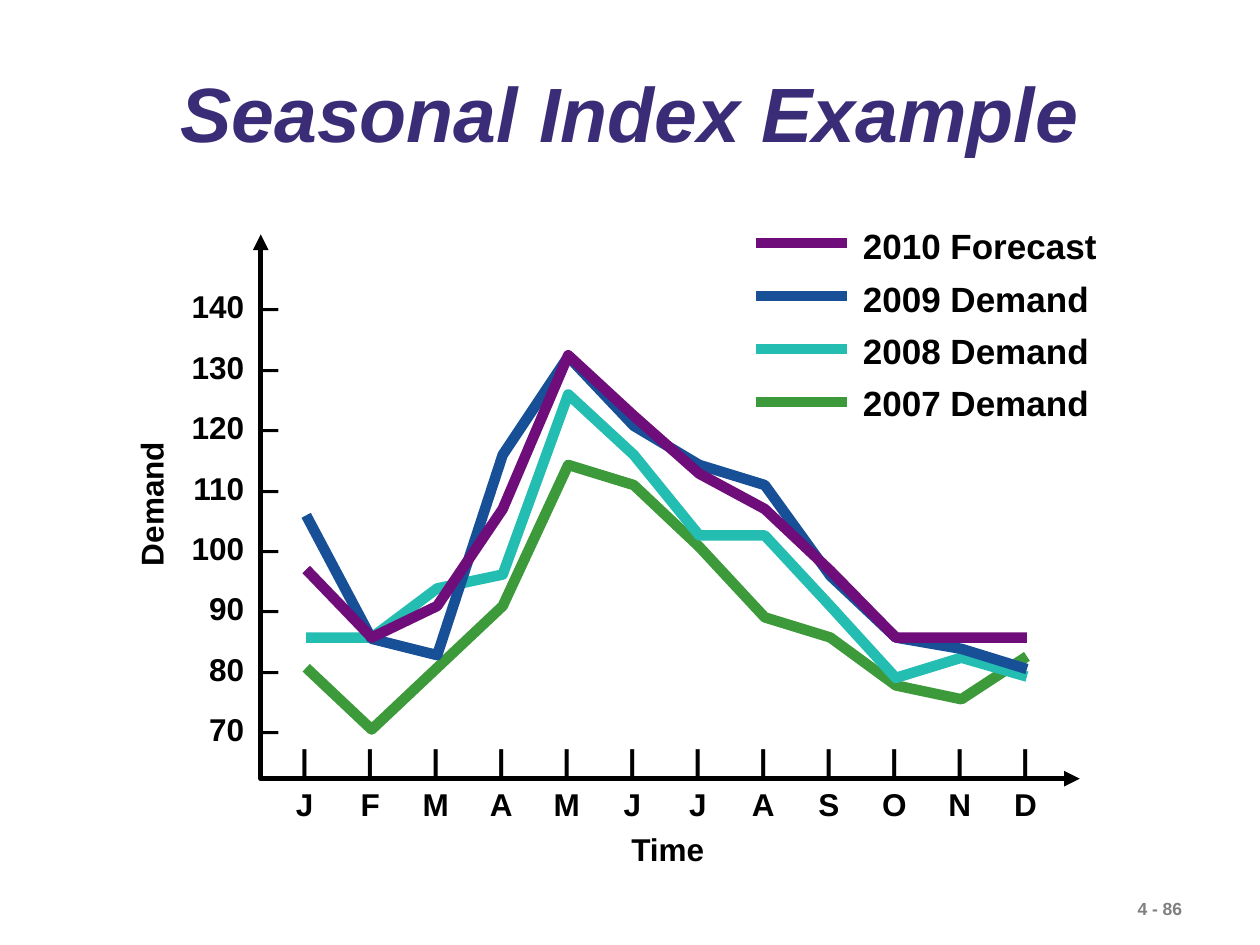
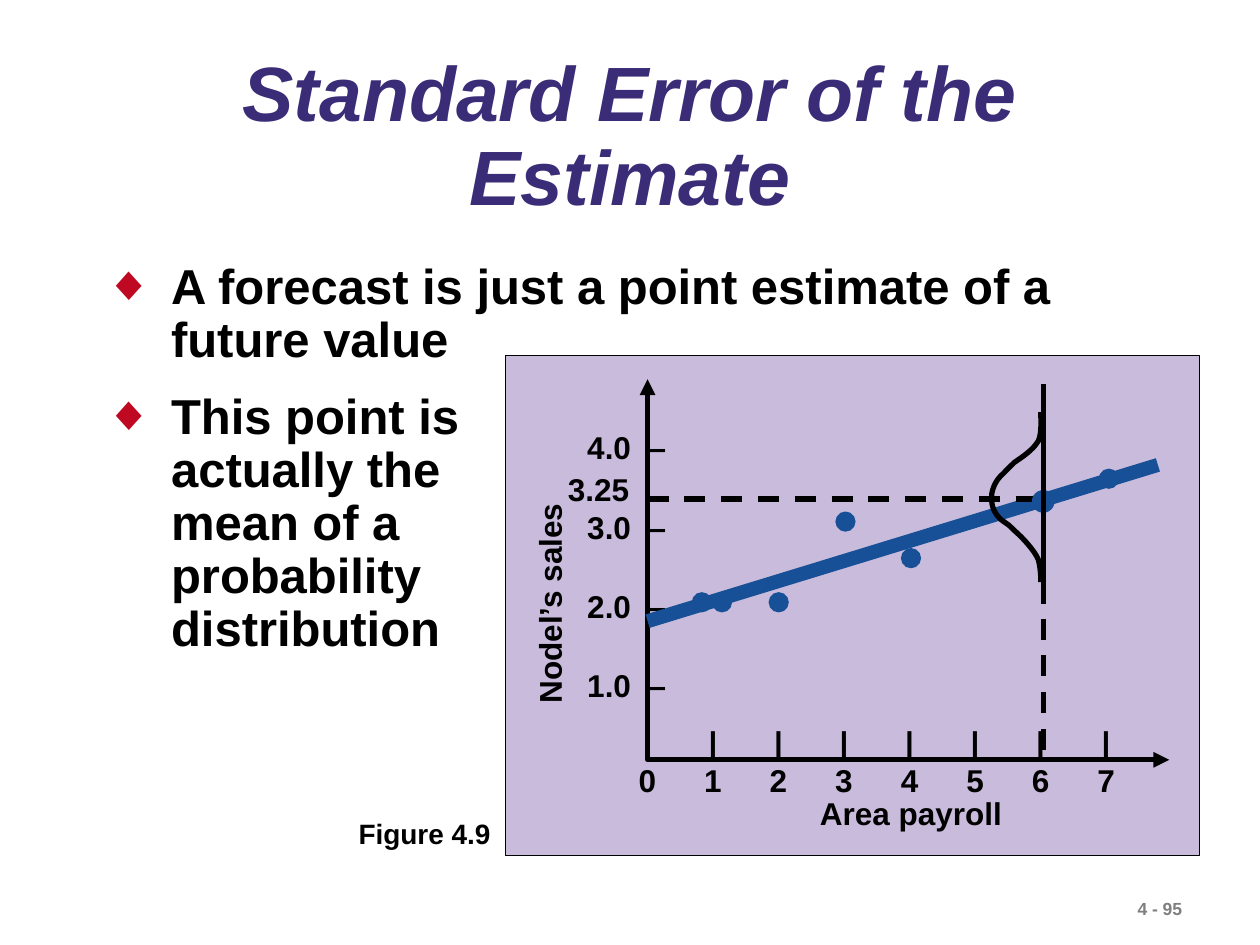
from lxml import etree
from pptx import Presentation
from pptx import util as u
from pptx.dml.color import RGBColor
from pptx.enum import dml, shapes, text
from pptx.oxml import ns

FONT = "Arial"
BLACK, GREY, TITLE = "000000", "7F7F7F", "3A2C76"
RED, LILAC = "BF0922", "C9BBDB"
GREEN, TEAL, BLUE, PURPLE = "3D9A3A", "24BDB2", "175097", "6F0D7B"
MONTH_STEP = TICK_STEP = 0.52
LEFT, CENTER = text.PP_ALIGN.LEFT, text.PP_ALIGN.CENTER

# Legend label, colour and the height of the line at each month, back to front
DEMAND = [
    ("2007 Demand", GREEN,
     [5.3, 5.79, 5.3, 4.81, 3.69, 3.85, 4.34, 4.9, 5.06, 5.44, 5.55, 5.21]),
    ("2008 Demand", TEAL,
     [5.06, 5.06, 4.67, 4.56, 3.13, 3.61, 4.25, 4.25, 4.81, 5.38, 5.22, 5.37]),
    ("2009 Demand", BLUE,
     [4.09, 5.07, 5.2, 3.61, 2.83, 3.38, 3.69, 3.85, 4.57, 5.06, 5.15, 5.31]),
    ("2010 Forecast", PURPLE,
     [4.52, 5.06, 4.81, 4.04, 2.82, 3.3, 3.76, 4.04, 4.53, 5.06, 5.06, 5.06]),
]
SALES_POINTS = [(8.8, 3.8), (7.23, 4.43), (6.71, 4.14),
                (6.18, 4.78), (5.73, 4.78), (5.57, 4.78)]
# Bezier control points: each curve starts where the one before ends
BELL = [(8.26, 4.62),
        (8.26, 4.59), (8.26, 4.51), (8.24, 4.44),
        (8.21, 4.37), (8.12, 4.27), (8.05, 4.21),
        (7.99, 4.15), (8.02, 4.18), (7.94, 4.12),
        (7.87, 4.05), (7.87, 3.99), (7.87, 3.94),
        (7.87, 3.89), (7.9, 3.82), (7.94, 3.78),
        (7.99, 3.73), (8, 3.72), (8.05, 3.67),
        (8.11, 3.63), (8.2, 3.57), (8.24, 3.5),
        (8.27, 3.44), (8.26, 3.32), (8.26, 3.27)]


def color(value):
    return RGBColor.from_string(value)


def inches(*values):
    return [u.Inches(value) for value in values]


def add_tabs(para, tabs):
    """Add tab stops given as (inches, 'l' | 'ctr' | 'r')."""
    tab_list = etree.SubElement(para._p.get_or_add_pPr(), ns.qn("a:tabLst"))
    for position, align in tabs:
        etree.SubElement(tab_list, ns.qn("a:tab"),
                         pos=str(u.Inches(position)), algn=align)


def add_bullet(para, indent):
    props = para._p.get_or_add_pPr()
    props.set("marL", str(u.Inches(indent)))
    props.set("indent", str(-u.Inches(indent)))
    fill = etree.SubElement(props, ns.qn("a:buClr"))
    etree.SubElement(fill, ns.qn("a:srgbClr"), val=RED)
    etree.SubElement(props, ns.qn("a:buFont"), typeface=FONT)
    etree.SubElement(props, ns.qn("a:buChar"), char="◆")


def add_text(page, at, paragraphs, size=18, ink=BLACK, align=LEFT, spacing=1.0,
             after=0, tabs=(), bullet=0, italic=False, margin=0.1,
             anchor=text.MSO_ANCHOR.TOP, rotation=0):
    """Add a text box; a line feed inside a paragraph is a line break."""
    box = page.shapes.add_textbox(*inches(*at))
    box.rotation = rotation
    frame = box.text_frame
    frame.word_wrap = True
    frame.margin_left = frame.margin_right = u.Inches(margin)
    frame.vertical_anchor = anchor
    for index, content in enumerate(paragraphs):
        para = frame.add_paragraph() if index else frame.paragraphs[0]
        if bullet:
            add_bullet(para, bullet)
        if tabs:
            add_tabs(para, tabs)
        para.alignment = align
        para.line_spacing = spacing
        para.space_after = u.Pt(after)
        for number, line in enumerate(content.split("\n")):
            if number:
                para.add_line_break()
            span = para.add_run()
            span.text = line
            font = span.font
            font.name, font.size, font.bold = FONT, u.Pt(size), True
            font.italic = italic
            font.color.rgb = color(ink)


def add_label(page, at, content, size=18, rotation=0):
    """Add one centred line, without side margins so that it never wraps."""
    add_text(page, at, [content], size, align=CENTER, margin=0,
             rotation=rotation)


def style_line(shape, ink, width):
    shape.line.color.rgb = color(ink)
    shape.line.width = u.Pt(width)


def add_line(page, start, end, ink, width):
    line = page.shapes.add_connector(shapes.MSO_CONNECTOR.STRAIGHT,
                                     *inches(*start, *end))
    style_line(line, ink, width)
    etree.SubElement(line._element.spPr, ns.qn("a:effectLst"))


def add_polyline(page, points, ink=BLACK, width=3):
    start, *rest = [inches(*point) for point in points]
    builder = page.shapes.build_freeform(*start)
    builder.add_line_segments(rest, close=False)
    outline = builder.convert_to_shape()
    outline.shadow.inherit = False
    outline.fill.background()
    style_line(outline, ink, width)
    return outline


def add_shape(page, kind, at, fill, ink):
    shape = page.shapes.add_shape(kind, *inches(*at))
    shape.shadow.inherit = False
    shape.fill.solid()
    shape.fill.fore_color.rgb = color(fill)
    style_line(shape, ink, 0.75)


def add_point(page, center, size=0.15):
    x, y = center
    add_shape(page, shapes.MSO_SHAPE.OVAL,
              (x - size / 2, y - size / 2, size, size), BLUE, BLUE)


def add_axes(page, left, top, right, bottom):
    axes = add_polyline(page, [(left, top), (left, bottom), (right, bottom)])
    line = axes.line._get_or_add_ln()
    for end in ("a:headEnd", "a:tailEnd"):
        etree.SubElement(line, ns.qn(end), type="triangle")


def add_value_scale(page, axis, top, height, values, spacing):
    """Add values and tick dashes for the vertical axis at x = axis."""
    add_text(page, (axis - 0.84, top, 1.15, height),
             [f"\t{value}\t–" for value in values], spacing=spacing,
             tabs=[(0.61, "r"), (0.75, "l")])


def add_step_scale(page, at, first, step, ticks, labels, spacing):
    """Add tick bars over labels, centred on equally spaced tab stops."""
    stops = [(first + step * i, "ctr") for i in range(len(labels))]
    rows = ["".join("\t" + item for item in row) for row in (ticks, labels)]
    add_text(page, at, rows, spacing=spacing, tabs=stops)


def bezier_points(controls, steps=8):
    """Return points along a chain of cubic curves."""
    points = [controls[0]]
    for first in range(0, len(controls) - 1, 3):
        curve = controls[first:first + 4]
        for step in range(1, steps + 1):
            t = step / steps
            weights = ((1 - t) ** 3, 3 * t * (1 - t) ** 2,
                       3 * t ** 2 * (1 - t), t ** 3)
            points.append([sum(w * c for w, c in zip(weights, axis))
                           for axis in zip(*curve)])
    return points


def add_page(deck, title, title_top, title_height, number):
    page = deck.slides.add_slide(deck.slide_layouts[6])
    add_text(page, (8.93, 7.08, 1.07, 0.27), [number], 10, GREY)
    add_text(page, (0.75, title_top, 8.5, title_height), [title], 44, TITLE,
             CENTER, 0.9, italic=True, anchor=text.MSO_ANCHOR.MIDDLE)
    return page


def build_seasonal_index(deck):
    page = add_page(deck, "Seasonal Index Example", 0.44, 0.99, "4 - 86")
    add_value_scale(page, 2.07, 2.05, 3.94, range(140, 60, -10), 1.6)
    add_axes(page, 2.07, 1.86, 8.57, 6.18)
    add_step_scale(page, (2.11, 5.79, 6.3, 0.79), 0.21, MONTH_STEP,
                   "|" * 12, "JFMAMJJASOND", 1.15)
    add_label(page, (4.91, 6.54, 0.78, 0.4), "Time")
    add_label(page, (0.61, 3.8, 1.18, 0.4), "Demand", rotation=270)

    for _, ink, heights in DEMAND:
        add_polyline(page, [(2.43 + MONTH_STEP * month, y)
                            for month, y in enumerate(heights)], ink, 6)
    legend = DEMAND[::-1]
    for row, (_, ink, _) in enumerate(legend):
        y = 1.93 + 0.42 * row
        add_line(page, (6, y), (6.72, y), ink, 6)
    add_text(page, (6.75, 1.65, 2.2, 1.77), [name for name, *_ in legend],
             20, spacing=1.25)


def build_standard_error(deck):
    page = add_page(deck, "Standard Error of the Estimate", 0.42, 1.36,
                    "4 - 95")
    add_text(page, (0.73, 2.03, 8.26, 3.24),
             ["A forecast is just a point estimate of a future value",
              "This point is\nactually the\nmean of a\nprobability\n"
              "distribution"],
             28, spacing=0.9, after=14, bullet=0.53)
    add_label(page, (2.75, 6.43, 1.24, 0.37), "Figure 4.9", 16)

    add_shape(page, shapes.MSO_SHAPE.RECTANGLE, (4.01, 2.82, 5.51, 3.97),
              LILAC, BLACK)
    for point in SALES_POINTS:
        add_point(page, point)
    add_axes(page, 5.14, 3.01, 9.28, 6.03)
    add_value_scale(page, 5.14, 3.02, 3.25, ["4.0", "3.0", "2.0", "1.0"], 2.1)
    add_step_scale(page, (4.62, 5.69, 4.5, 0.7), 0.42, TICK_STEP,
                   [""] + ["|"] * 7, "01234567", 1.0)
    add_label(page, (3.46, 4.59, 1.8, 0.4), "Nodel’s sales", rotation=270)
    add_label(page, (6.41, 6.25, 1.64, 0.4), "Area payroll")

    add_line(page, (5.14, 4.93), (9.19, 3.69), BLUE, 8)
    estimate = add_polyline(page, [(5.14, 3.96), (8.28, 3.96), (8.28, 6.03)])
    estimate.line.dash_style = dml.MSO_LINE.DASH
    add_point(page, (8.28, 3.98), 0.17)
    add_label(page, (4.41, 3.68, 0.68, 0.4), "3.25")
    add_line(page, (8.28, 3.05), (8.28, 4.79), BLACK, 3)
    add_polyline(page, bezier_points(BELL))


def main():
    deck = Presentation()
    deck.slide_width, deck.slide_height = inches(10, 7.5)
    build_seasonal_index(deck)
    build_standard_error(deck)
    deck.save("out.pptx")


if __name__ == "__main__":
    main()
